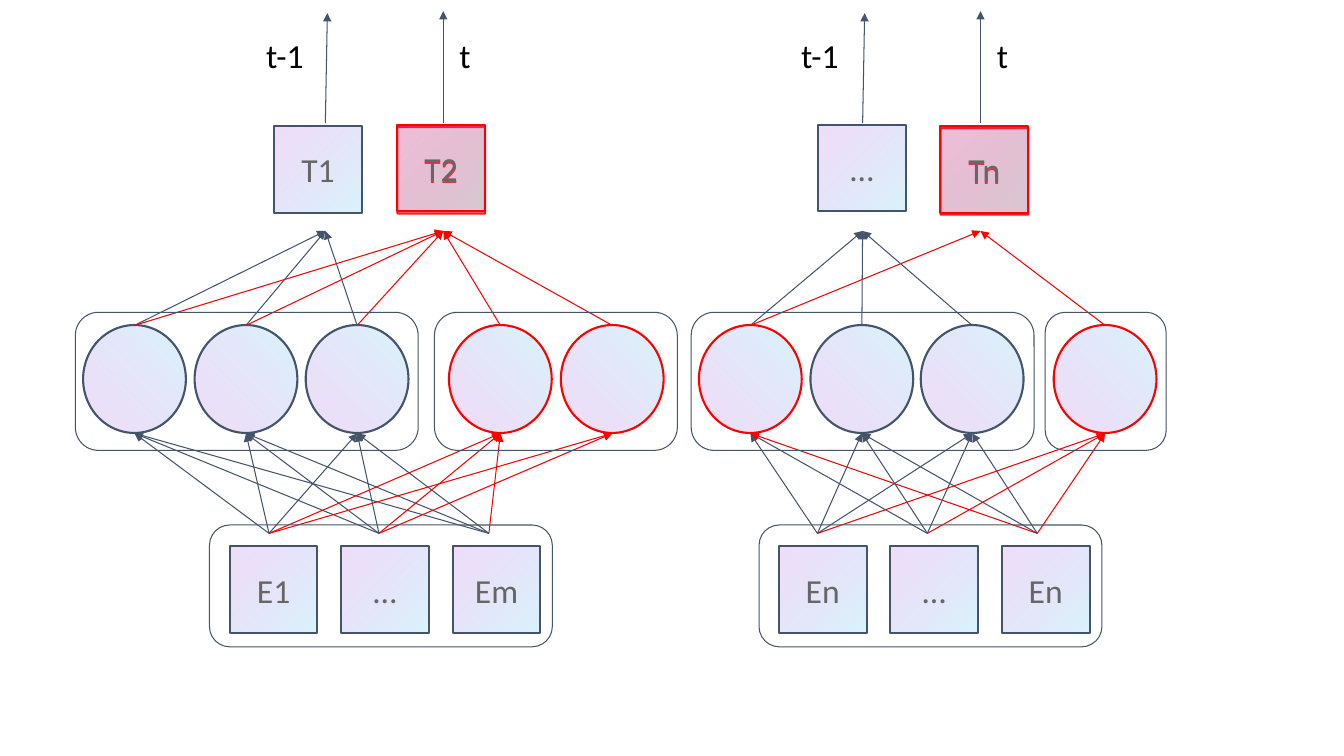
from dataclasses import dataclass

import pptx
import pptx.dml.color
import pptx.enum.shapes
import pptx.enum.text
import pptx.oxml
import pptx.oxml.ns
import pptx.util

Cm = pptx.util.Cm
Shapes = pptx.enum.shapes.MSO_SHAPE


@dataclass(frozen=True)
class Theme:
    """Colours, type and line weights of the slide."""
    dark: str = "44546A"
    red: str = "FF0000"
    cyan: str = "69D4F4"
    purple: str = "9F39D5"
    card_text: str = "666666"
    label_text: str = "000000"
    font: str = "Calibri"
    size: int = 24
    thin: float = 0.75
    thick: float = 1.5


THEME = Theme()
LINKS = {"D": THEME.dark, "R": THEME.red}
INSET = 0.33
NODE_WIDTH, NODE_HEIGHT, NODE_MIDDLE = 2.72, 2.59, 9.55
NODE_TOP, NODE_BOTTOM = 8.2, 10.92
CARD_WIDTH, CARD_HEIGHT, CARD_STEP = 2.21, 2.18, 2.81
INPUT_TOP, INPUT_LINK, INPUT_STEP = 13.77, 13.44, 2.77
TARGET_LINK, TARGET_STEP = 5.82, 2.97
OUTPUT_START = 3.1
GROUP_TOP, GROUP_HEIGHT, WIDE_GROUP = 7.87, 3.48, 8.64
INPUT_GROUP_TOP, INPUT_GROUP_HEIGHT = 13.23, 3.07

# Each node: centre, outline, links from the inputs, links to the targets.
PANELS = [
    {
        "nodes": [(3.39, "D", "DDD", "DR"), (6.2, "D", "DDD", "DR"),
                  (9.0, "D", "DDD", "DR"), (12.61, "R", "RRR", "-R"),
                  (15.43, "R", "RR-", "-R")],
        "groups": [(1.9, WIDE_GROUP), (10.95, 6.12)],
        "input_group": 5.28, "first_link": 6.78, "first_input": 5.79,
        "inputs": ["E1", "…", "Em"],
        "first_target": 8.2,
        "targets": [("T1", 6.91, 3.18, "D"), ("T2", 10.01, 3.15, "R")],
        "labels": [("t-1", 6.38, 1.98), ("t", 11.25, 0.79)],
    },
    {
        "nodes": [(18.91, "R", "DDR", "DR"), (21.72, "D", "DDD", "D-"),
                  (24.5, "D", "DDD", "D-"), (27.85, "R", "RRR", "-R")],
        "groups": [(17.42, WIDE_GROUP), (26.34, 3.05)],
        "input_group": 19.13, "first_link": 20.6, "first_input": 19.63,
        "inputs": ["En", "…", "En"],
        "first_target": 21.74,
        "targets": [("…", 20.62, 3.15, "D"), ("Tn", 23.7, 3.18, "R")],
        "labels": [("t-1", 19.86, 2.06), ("t", 24.79, 0.79)],
    },
]


def rgb(value):
    """Return a colour object for a hex value."""
    return pptx.dml.color.RGBColor.from_string(value)


def element(markup):
    """Return an XML element from markup in the drawing namespace."""
    name, rest = markup[3:].split(" ", 1)
    return pptx.oxml.parse_xml(f"<a:{name} {pptx.oxml.ns.nsdecls('a')} {rest}")


def add_outline(slide, kind, left, top, width, height, color, weight):
    """Add an unfilled preset shape with a coloured outline."""
    shape = slide.shapes.add_shape(kind, Cm(left), Cm(top), Cm(width), Cm(height))
    shape.shadow.inherit = False
    shape.fill.background()
    shape.line.color.rgb = rgb(color)
    shape.line.width = pptx.util.Pt(weight)
    return shape


def tint(shape):
    """Give a shape the translucent cyan to purple gradient."""
    stops = "".join(
        f'<a:gs pos="{position}"><a:srgbClr val="{color}"><a:alpha val="{alpha}"/></a:srgbClr></a:gs>'
        for position, color, alpha in ((0, THEME.cyan, 26000), (100000, THEME.purple, 17000)))
    properties = shape.element.spPr
    empty_fill = properties.find(pptx.oxml.ns.qn("a:noFill"))
    properties.replace(empty_fill, element(
        f'<a:gradFill rotWithShape="1"><a:gsLst>{stops}</a:gsLst>'
        '<a:lin ang="13500000" scaled="0"/></a:gradFill>'))


def add_red_shadow(shape):
    """Give a shape a sharp red shadow just below it."""
    effects = shape.element.spPr.find(pptx.oxml.ns.qn("a:effectLst"))
    effects.append(element(
        '<a:outerShdw blurRad="0" dist="19050" dir="5100000" algn="bl" rotWithShape="0">'
        f'<a:srgbClr val="{THEME.red}"><a:alpha val="89000"/></a:srgbClr></a:outerShdw>'))


def write(shape, text, color, alignment, anchor):
    """Put one styled paragraph into a shape."""
    frame = shape.text_frame
    frame.word_wrap = True
    frame.vertical_anchor = anchor
    frame.margin_left = frame.margin_right = Cm(INSET)
    frame.margin_top = frame.margin_bottom = Cm(INSET)
    paragraph = frame.paragraphs[0]
    paragraph.text = text
    paragraph.alignment = alignment
    paragraph.font.name = THEME.font
    paragraph.font.size = pptx.util.Pt(THEME.size)
    paragraph.font.color.rgb = rgb(color)


def add_card(slide, text, left, top, color):
    """Add a tinted square with a centred caption."""
    shape = add_outline(slide, Shapes.RECTANGLE, left, top,
                        CARD_WIDTH, CARD_HEIGHT, color, THEME.thick)
    tint(shape)
    write(shape, text, THEME.card_text, pptx.enum.text.PP_ALIGN.CENTER,
          pptx.enum.text.MSO_ANCHOR.MIDDLE)
    return shape


def add_label(slide, text, left, width):
    """Add a time label beside an output arrow."""
    shape = slide.shapes.add_textbox(Cm(left), Cm(0.56), Cm(width), Cm(1.7))
    write(shape, text, THEME.label_text, pptx.enum.text.PP_ALIGN.LEFT,
          pptx.enum.text.MSO_ANCHOR.TOP)


def add_node(slide, center, color):
    """Add a tinted round node turned a quarter to the left."""
    shape = add_outline(slide, Shapes.OVAL, center - NODE_WIDTH / 2,
                        NODE_MIDDLE - NODE_HEIGHT / 2, NODE_WIDTH, NODE_HEIGHT,
                        color, THEME.thick)
    shape.rotation = 270
    tint(shape)


def add_arrow(slide, start, end, color):
    """Add a thin straight arrow between two points."""
    connector = slide.shapes.add_connector(
        pptx.enum.shapes.MSO_CONNECTOR.STRAIGHT, *map(Cm, start + end))
    connector.line.color.rgb = rgb(color)
    connector.line.width = pptx.util.Pt(THEME.thin)
    connector.line._get_or_add_ln().append(element('<a:tailEnd type="triangle"/>'))
    connector._element.spPr.append(element("<a:effectLst />"))


def add_links(slide, panel):
    """Add the nodes of a panel and every arrow around them."""
    inputs = [panel["first_link"] + INPUT_STEP * index for index in range(3)]
    targets = [panel["first_target"] + TARGET_STEP * index for index in range(2)]
    for center, outline, incoming, outgoing in panel["nodes"]:
        add_node(slide, center, LINKS[outline])
        for x, code in zip(inputs, incoming):
            if code in LINKS:
                add_arrow(slide, (x, INPUT_LINK), (center, NODE_BOTTOM), LINKS[code])
        for x, code in zip(targets, outgoing):
            if code in LINKS:
                add_arrow(slide, (center, NODE_TOP), (x, TARGET_LINK), LINKS[code])
    for x, lean, top in zip(targets, (0.05, 0), (0.33, 0.28)):
        add_arrow(slide, (x, OUTPUT_START), (x + lean, top), THEME.dark)


def add_panel(slide, panel):
    """Add one half of the network with its frames, cards and labels."""
    add_links(slide, panel)
    frames = [(left, GROUP_TOP, width, GROUP_HEIGHT) for left, width in panel["groups"]]
    frames.append((panel["input_group"], INPUT_GROUP_TOP, WIDE_GROUP, INPUT_GROUP_HEIGHT))
    for frame in frames:
        add_outline(slide, Shapes.ROUNDED_RECTANGLE, *frame, THEME.dark, THEME.thin)
    for label in panel["labels"]:
        add_label(slide, *label)
    for index, text in enumerate(panel["inputs"]):
        add_card(slide, text, panel["first_input"] + CARD_STEP * index, INPUT_TOP, THEME.dark)
    for text, left, top, code in panel["targets"]:
        card = add_card(slide, text, left, top, LINKS[code])
        if code == "R":
            add_red_shadow(card)


def main():
    """Build the slide and save it."""
    presentation = pptx.Presentation()
    presentation.slide_width, presentation.slide_height = Cm(33.87), Cm(19.05)
    slide = presentation.slides.add_slide(presentation.slide_layouts[6])
    for panel in PANELS:
        add_panel(slide, panel)
    presentation.save("out.pptx")


if __name__ == "__main__":
    main()
